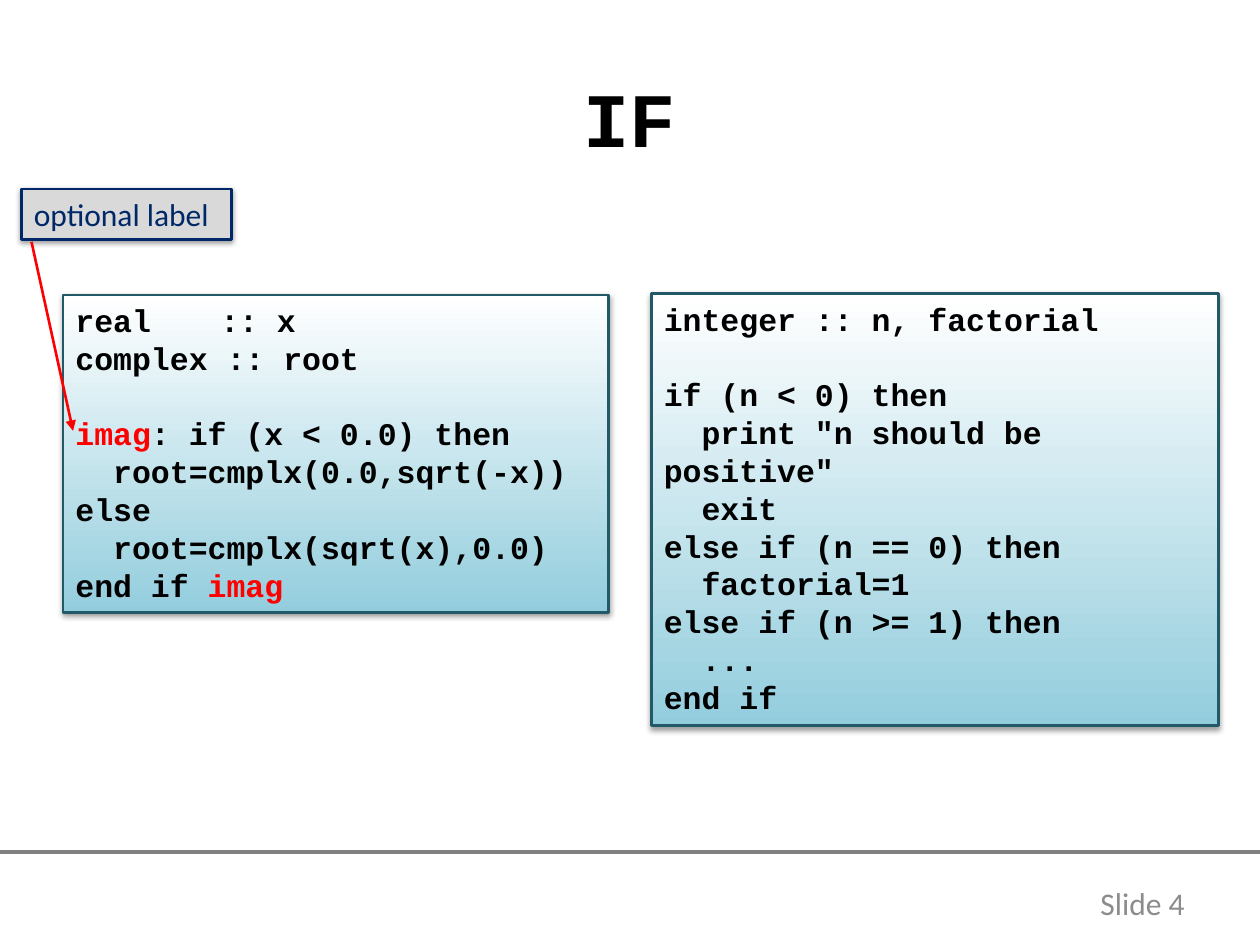
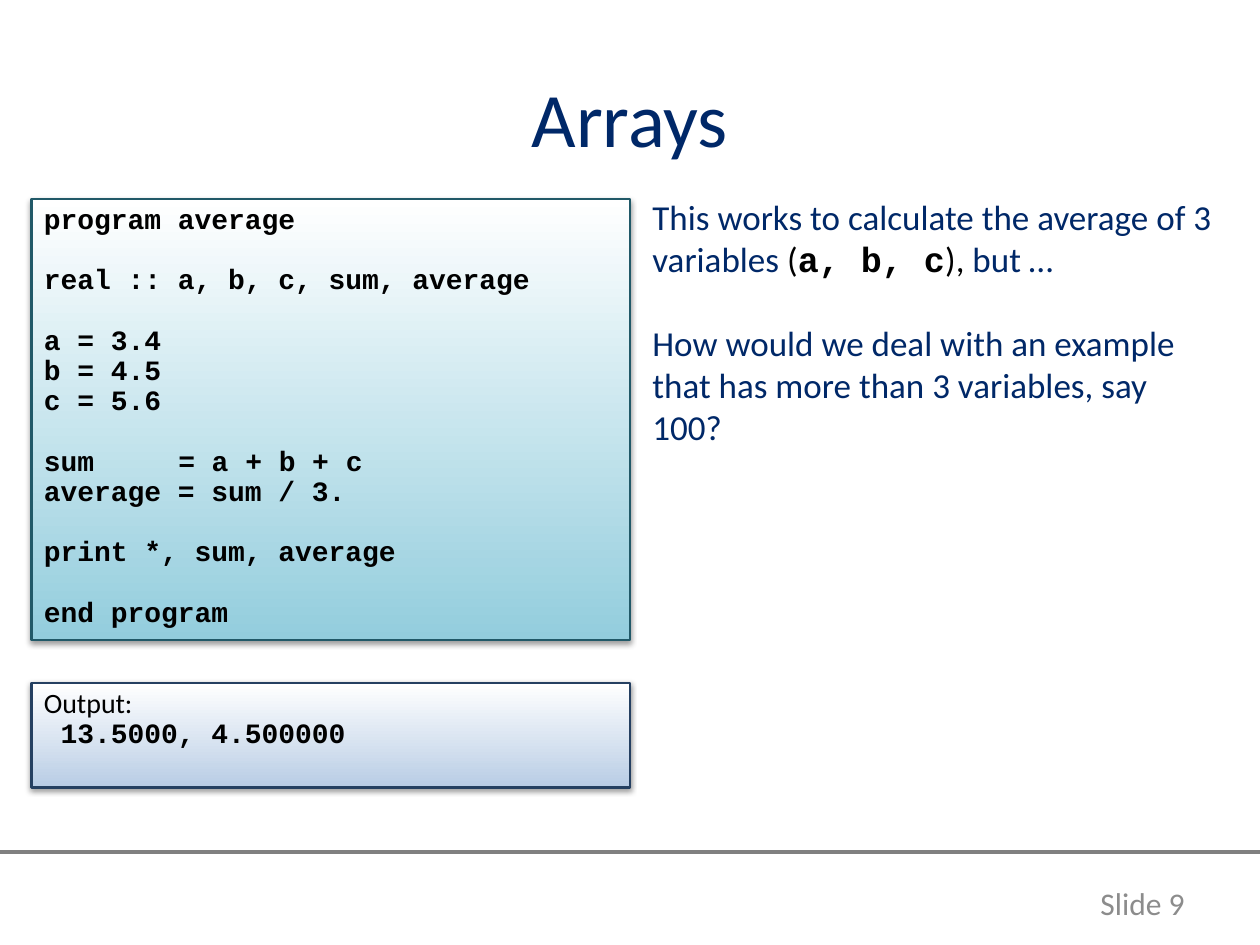
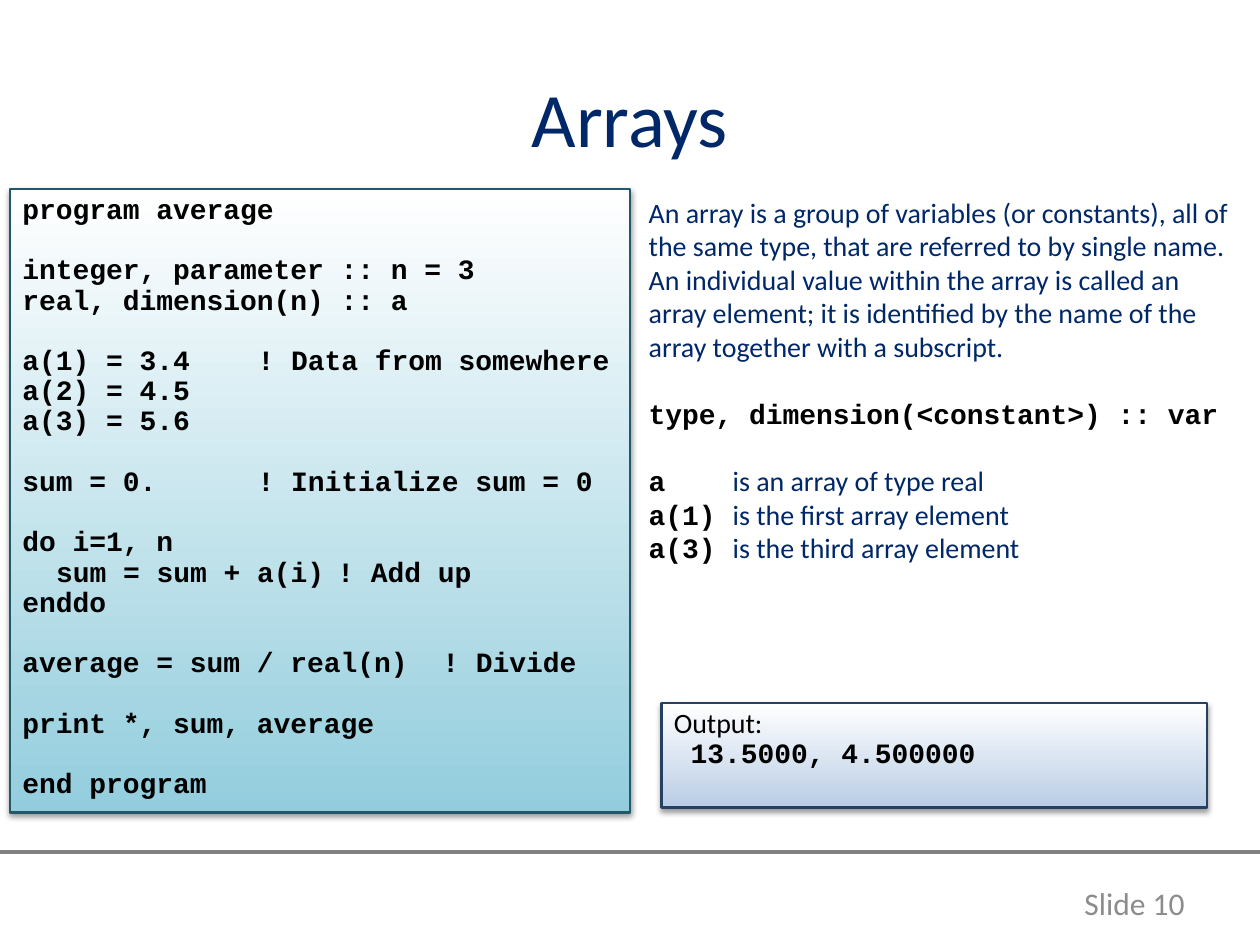
from lxml import etree
from pptx import Presentation
from pptx.dml.color import RGBColor
from pptx.enum.shapes import MSO_CONNECTOR, MSO_SHAPE
from pptx.enum.text import MSO_ANCHOR, PP_ALIGN
from pptx.oxml.ns import qn
from pptx.util import Inches, Pt

LEFT, CENTER, RIGHT = PP_ALIGN.LEFT, PP_ALIGN.CENTER, PP_ALIGN.RIGHT
TOP, MIDDLE = MSO_ANCHOR.TOP, MSO_ANCHOR.MIDDLE
RECT, STRAIGHT = MSO_SHAPE.RECTANGLE, MSO_CONNECTOR.STRAIGHT

# Shared look
W, H = 10, 7.5
NAVY, BLACK, RED, GREY = "002868", "000000", "FF0000", "8C8C8C"
SANS, MONO = "Calibri", "Courier New"
STYLES = {  # font, colour, bold
    "code": (MONO, BLACK, True),
    "label": (MONO, RED, True),
    "body": (SANS, NAVY, False),
    "plain": (SANS, BLACK, False),
    "footer": (SANS, GREY, False),
}
PANELS = {  # fill from bottom to top, outline
    "program": (("93CDDD", "FFFFFF"), "215968"),
    "output": (("B9CDE5", "FFFFFF"), "254061"),
    "tag": (("D9D9D9",), NAVY),
}
LINE_HEIGHT = 1.2  # share of the font size
CHAR_WIDTH = 0.6   # share of the font size, monospaced

# Content: a line is a string in the box's style or a list of (text, style);
# an empty line opens a gap, leading spaces set the indent
OUTPUT = [[("Output:", "plain")], " 13.5000, 4.500000"]

SLIDES = [
    dict(number=4, title="IF", title_style="code", boxes=[
        dict(at=(0.5, 2.34, 4.33, 2.52), panel="program", size=18, lines=[
            "real \t :: x",
            "complex :: root",
            "",
            [("imag", "label"), (": if (x < 0.0) then", "code")],
            "  root=cmplx(0.0,sqrt(-x))",
            "else",
            "  root=cmplx(sqrt(x),0.0)",
            [("end if ", "code"), ("imag", "label")],
        ]),
        dict(at=(5.17, 2.33, 4.5, 3.43), panel="program", size=18, lines=[
            "integer :: n, factorial",
            "",
            "if (n < 0) then",
            '  print "n should be positive"',
            "  exit",
            "else if (n == 0) then",
            "  factorial=1",
            "else if (n >= 1) then",
            "  ...",
            "end if",
        ]),
        dict(at=(0.17, 1.5, 1.67, 0.4), panel="tag", size=18, style="body",
             lines=["optional label"]),
    ], arrow=(0.25, 1.92, 0.58, 3.42)),
    dict(number=9, title="Arrays", title_style="body", boxes=[
        dict(at=(0.25, 1.58, 4.75, 3.5), panel="program", size=16, spacing=0.9, columns=(8,), lines=[
            "program average",
            "",
            "real :: a, b, c, sum, average",
            "",
            "a = 3.4",
            "b = 4.5",
            "c = 5.6",
            "",
            "sum\t= a + b + c",
            "average = sum / 3.",
            "",
            "print *, sum, average",
            "",
            "end program",
        ]),
        dict(at=(5.08, 1.5, 4.67, 2.39), size=20, style="body", lines=[
            [("This works to calculate the average of 3 variables ", "body"), ("(", "plain"),
             ("a, b, c", "code"), ("), ", "plain"), ("but …", "body")],
            "",
            "How would we deal with an example that has more than 3 variables, say 100?",
        ]),
        dict(at=(0.25, 5.42, 4.75, 0.83), panel="output", size=16, spacing=0.9, lines=OUTPUT),
    ]),
    dict(number=10, title="Arrays", title_style="body", boxes=[
        dict(at=(0.08, 1.5, 4.92, 4.95), panel="program", size=16, spacing=0.9, columns=(14, 25), lines=[
            "program average",
            "",
            "integer, parameter :: n = 3",
            "real, dimension(n) :: a",
            "",
            "a(1) = 3.4\t! Data from somewhere",
            "a(2) = 4.5",
            "a(3) = 5.6",
            "",
            "sum = 0.\t! Initialize sum = 0",
            "",
            "do i=1, n",
            "  sum = sum + a(i)\t! Add up",
            "enddo",
            "",
            "average = sum / real(n)\t! Divide",
            "",
            "print *, sum, average",
            "",
            "end program",
        ]),
        dict(at=(5.05, 1.5, 4.92, 3.33), size=16, style="body", columns=(5,), lines=[
            "An array is a group of variables (or constants), all of the same type, that are "
            "referred to by single name. An individual value within the array is called an "
            "array element; it is identified by the name of the array together with a subscript.",
            "",
            [("type, dimension(<constant>) :: var", "code")],
            "",
            [("a\t", "code"), ("is an array of type real", "body")],
            [("a(1)\t", "code"), ("is the first array element", "body")],
            [("a(3)\t", "code"), ("is the third array element", "body")],
        ]),
        dict(at=(5.25, 5.58, 4.33, 0.83), panel="output", size=16, spacing=0.9, lines=OUTPUT),
    ]),
]


def rgb(hex_color):
    return RGBColor.from_string(hex_color)


def add_line(slide, ends, color, width, arrow=False):
    line = slide.shapes.add_connector(STRAIGHT, *(Inches(v) for v in ends))
    line.line.color.rgb = rgb(color)
    line.line.width = Pt(width)
    if arrow:
        etree.SubElement(line.line._get_or_add_ln(), qn("a:tailEnd"), type="triangle")
    etree.SubElement(line._element.spPr, qn("a:effectLst"))


def style_panel(sp, colors, outline):
    if len(colors) == 1:
        sp.fill.solid()
        sp.fill.fore_color.rgb = rgb(colors[0])
    else:
        sp.fill.gradient()
        sp.fill.gradient_angle = 90
        for stop, color in zip(sp.fill.gradient_stops, colors):
            stop.color.rgb = rgb(color)
    sp.line.color.rgb = rgb(outline)
    sp.line.width = Pt(1.5)
    # Soft shadow below the panel
    sp.shadow.inherit = False
    effects = sp._element.spPr.find(qn("a:effectLst"))
    shadow = etree.SubElement(effects, qn("a:outerShdw"), blurRad=str(Pt(3.1)),
                              dist=str(Pt(1.6)), dir="5400000", rotWithShape="0")
    color = etree.SubElement(shadow, qn("a:srgbClr"), val=BLACK)
    etree.SubElement(color, qn("a:alpha"), val="38000")


def add_box(slide, at, lines, size, style="code", panel=None, spacing=1.0,
            columns=(), align=LEFT, anchor=TOP):
    box = [Inches(v) for v in at]
    if panel:
        sp = slide.shapes.add_shape(RECT, *box)
        style_panel(sp, *PANELS[panel])
    else:
        sp = slide.shapes.add_textbox(*box)
    tf = sp.text_frame
    tf.word_wrap = True
    tf.vertical_anchor = anchor
    char = size * CHAR_WIDTH
    gap, p = 0, None
    for line in lines:
        if not line:
            gap += size * LINE_HEIGHT * spacing
            continue
        p = tf.add_paragraph() if p is not None else tf.paragraphs[0]
        p.alignment = align
        p.line_spacing = spacing
        p.space_before = Pt(gap)
        gap = 0
        runs = line
        if isinstance(line, str):
            text = line.lstrip(" ")
            runs = [(text, style)]
            if text != line:
                pPr = p._p.get_or_add_pPr()
                pPr.set("marL", "0")
                pPr.set("indent", str(Pt(char * (len(line) - len(text)))))
        if columns and any("\t" in text for text, _ in runs):
            tabs = etree.SubElement(p._p.get_or_add_pPr(), qn("a:tabLst"))
            for column in columns:
                etree.SubElement(tabs, qn("a:tab"), pos=str(Pt(char * column)), algn="l")
        for text, name in runs:
            r = p.add_run()
            r.text = text
            font, color, bold = STYLES[name]
            r.font.name, r.font.size, r.font.bold = font, Pt(size), bold
            r.font.color.rgb = rgb(color)


def add_slide(prs, number, title, title_style, boxes, arrow=None):
    slide = prs.slides.add_slide(prs.slide_layouts[6])
    # Footer and title
    add_line(slide, (0, 6.76, W, 6.76), "808080", 2)
    add_box(slide, (8.21, 6.97, 1.29, 0.4), [f"Slide {number}"], 18, "footer",
            align=RIGHT, anchor=MIDDLE)
    add_box(slide, (0.5, 0.3, W - 1, 1.25), [title], 44, title_style,
            align=CENTER, anchor=MIDDLE)
    # Body
    for box in boxes:
        add_box(slide, **box)
    if arrow:
        add_line(slide, arrow, RED, 1.5, arrow=True)


def main():
    prs = Presentation()
    prs.slide_width, prs.slide_height = Inches(W), Inches(H)
    for content in SLIDES:
        add_slide(prs, **content)
    prs.save("out.pptx")


if __name__ == "__main__":
    main()
